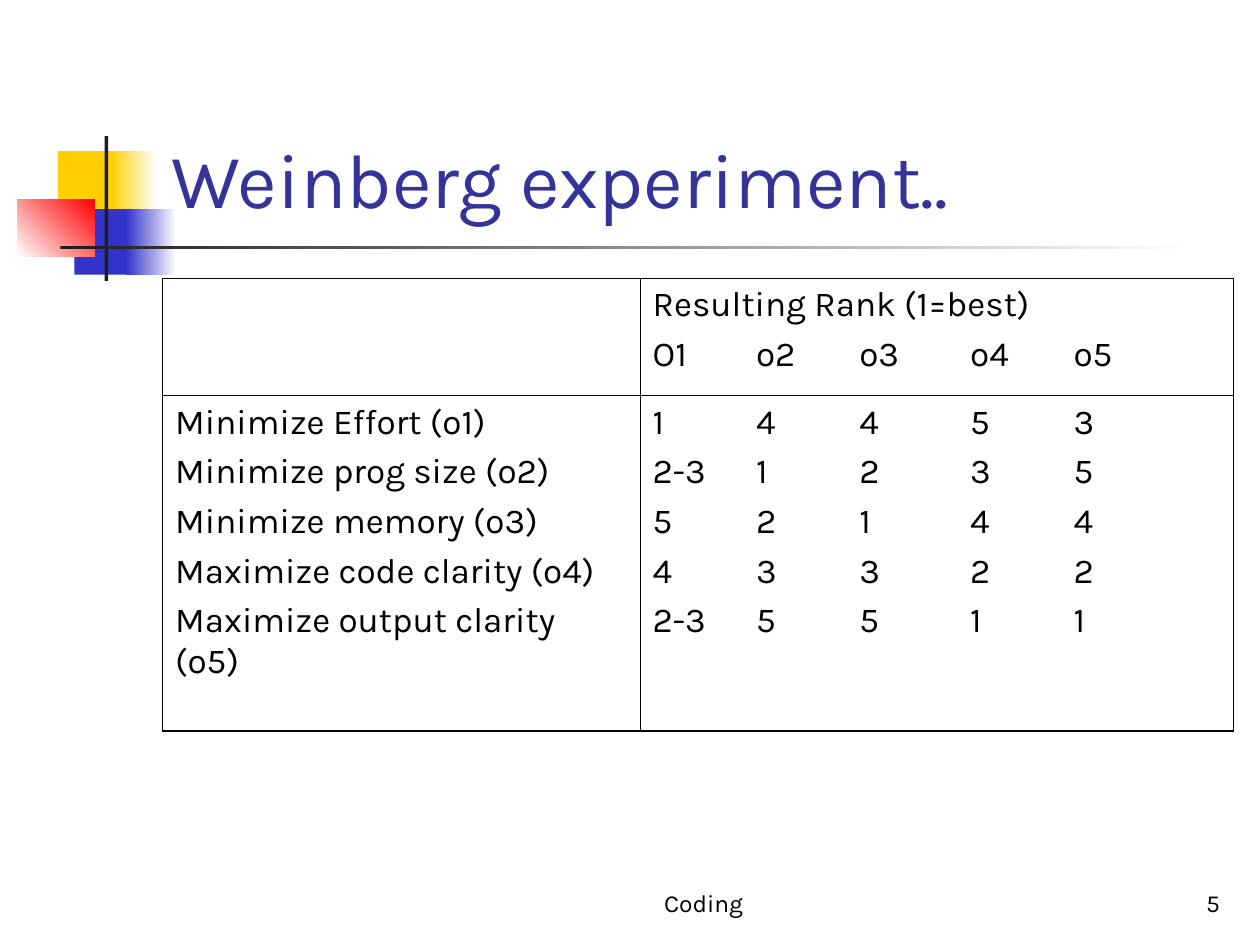
from dataclasses import dataclass
from typing import Optional

from lxml import etree
from pptx import Presentation
from pptx.dml.color import RGBColor
from pptx.enum.shapes import MSO_SHAPE
from pptx.enum.text import MSO_ANCHOR, MSO_AUTO_SIZE, PP_ALIGN
from pptx.oxml.ns import qn
from pptx.util import Inches, Pt

RECTANGLE = MSO_SHAPE.RECTANGLE
BOTTOM, TOP = MSO_ANCHOR.BOTTOM, MSO_ANCHOR.TOP
LEFT, CENTER, RIGHT = PP_ALIGN.LEFT, PP_ALIGN.CENTER, PP_ALIGN.RIGHT
NO_AUTOFIT = MSO_AUTO_SIZE.NONE

FONT = "Karla"
COLORS = {
    "yellow": "FFCF01",
    "blue": "3333CC",
    "red": "FF0000",
    "charcoal": "1C1C1C",
    "white": "FFFFFF",
    "title": "333399",
    "black": "000000",
}
THIN, THICK = 0.45, 1.08
RANK_TABS = (0.82, 1.64, 2.52, 3.34)


@dataclass
class Block:
    left: float
    top: float
    width: float
    height: float
    color: str
    fade_to: Optional[str] = None
    angle: float = 0


@dataclass
class Objective:
    label: str
    ranks: tuple


BLOCKS = [
    Block(0.46, 1.2, 0.48, 0.52, "yellow"),
    Block(0.88, 1.2, 0.36, 0.52, "yellow", "white"),
    Block(0.59, 1.66, 0.46, 0.52, "blue"),
    Block(1, 1.66, 0.4, 0.52, "blue", "white"),
    Block(0.14, 1.58, 0.61, 0.46, "white", "red", 45),
    Block(0.83, 1.08, 0.03, 1.15, "charcoal"),
    Block(0.48, 1.95, 9, 0.03, "charcoal", "white"),
]
OBJECTIVES = [
    Objective("Minimize Effort (o1)", ("1", "4", "4", "5", "3")),
    Objective("Minimize prog size (o2)", ("2-3", "1", "2", "3", "5")),
    Objective("Minimize memory (o3)", ("5", "2", "1", "4", "4")),
    Objective("Maximize code clarity (o4)", ("4", "3", "3", "2", "2")),
    Objective("Maximize output clarity (o5)", ("2-3", "5", "5", "1", "1")),
]
RANK_HEADER = ("O1", "o2", "o3", "o4", "o5")


def rgb(name: str) -> RGBColor:
    return RGBColor.from_string(COLORS[name])


def draw_block(slide, block: Block) -> None:
    shape = slide.shapes.add_shape(
        RECTANGLE, Inches(block.left), Inches(block.top),
        Inches(block.width), Inches(block.height))
    shape.shadow.inherit = False
    shape.line.fill.background()
    if block.fade_to is None:
        shape.fill.solid()
        shape.fill.fore_color.rgb = rgb(block.color)
        return
    shape.fill.gradient()
    shape.fill.gradient_angle = block.angle
    for stop, position, color in zip(
            shape.fill.gradient_stops, (0, 1), (block.color, block.fade_to)):
        stop.position = position
        stop.color.rgb = rgb(color)


def write_lines(text_frame, lines: list, *, size: float, color: str = "black",
                align=LEFT, space_before: float = 0, tabs: tuple = ()) -> None:
    for index, line in enumerate(lines):
        paragraph = text_frame.paragraphs[0] if index == 0 else text_frame.add_paragraph()
        paragraph.alignment = align
        paragraph.space_before = Pt(space_before)
        run = paragraph.add_run()
        run.text = line
        run.font.name = FONT
        run.font.size = Pt(size)
        run.font.color.rgb = rgb(color)
        if tabs:
            tab_list = etree.SubElement(paragraph._p.get_or_add_pPr(), qn("a:tabLst"))
            for position in tabs:
                etree.SubElement(tab_list, qn("a:tab"),
                                 pos=str(Inches(position)), algn="l")


def add_footer(slide, text: str, left: float, width: float, align) -> None:
    box = slide.shapes.add_textbox(Inches(left), Inches(6.83), Inches(width), Inches(0.5))
    box.text_frame.word_wrap = True
    box.text_frame.vertical_anchor = BOTTOM
    write_lines(box.text_frame, [text], size=14, align=align)


def set_borders(cell, widths: dict) -> None:
    properties = cell._tc.get_or_add_tcPr()
    for side in ("L", "R", "T", "B"):
        line = etree.SubElement(properties, qn(f"a:ln{side}"), w=str(Pt(widths[side])))
        fill = etree.SubElement(line, qn("a:solidFill"))
        etree.SubElement(fill, qn("a:srgbClr"), val=COLORS["black"])


def add_rank_table(slide) -> None:
    table = slide.shapes.add_table(
        2, 2, Inches(1.29), Inches(2.21), Inches(8.5), Inches(3.59)).table
    table.first_row = False
    table.horz_banding = False
    for column, width in zip(table.columns, (3.79, 4.71)):
        column.width = Inches(width)
    for row, height in zip(table.rows, (0.93, 2.66)):
        row.height = Inches(height)

    labels = [objective.label for objective in OBJECTIVES]
    ranks = ["\t".join(objective.ranks) for objective in OBJECTIVES]
    header = ["Resulting Rank (1=best)", "\t".join(RANK_HEADER)]
    contents = [[[], header], [labels, ranks]]
    for row, row_contents in enumerate(contents):
        for column, lines in enumerate(row_contents):
            cell = table.cell(row, column)
            cell.vertical_anchor = TOP
            # Thick outside edges, thin inside edges
            set_borders(cell, {
                "L": THIN if column else THICK,
                "R": THICK if column else THIN,
                "T": THIN if row else THICK,
                "B": THICK if row else THIN,
            })
            cell.fill.background()
            write_lines(cell.text_frame, lines, size=20, space_before=5,
                        tabs=RANK_TABS if column else ())


def main() -> None:
    presentation = Presentation()
    presentation.slide_width, presentation.slide_height = Inches(10), Inches(7.5)
    slide = presentation.slides.add_slide(presentation.slide_layouts[5])

    # Decorative blocks and rules
    for block in BLOCKS:
        draw_block(slide, block)

    # Footer and page number
    add_footer(slide, "Coding", 4, 3.17, CENTER)
    add_footer(slide, "5", 7.7, 2.08, RIGHT)

    # Title
    title = slide.shapes.title
    title.left, title.top = Inches(1.26), Inches(0.23)
    title.width, title.height = Inches(8.52), Inches(1.6)
    title.text_frame.vertical_anchor = BOTTOM
    title.text_frame.auto_size = NO_AUTOFIT
    write_lines(title.text_frame, ["Weinberg experiment.."], size=44, color="title")

    # Rankings
    add_rank_table(slide)
    presentation.save("out.pptx")


if __name__ == "__main__":
    main()
